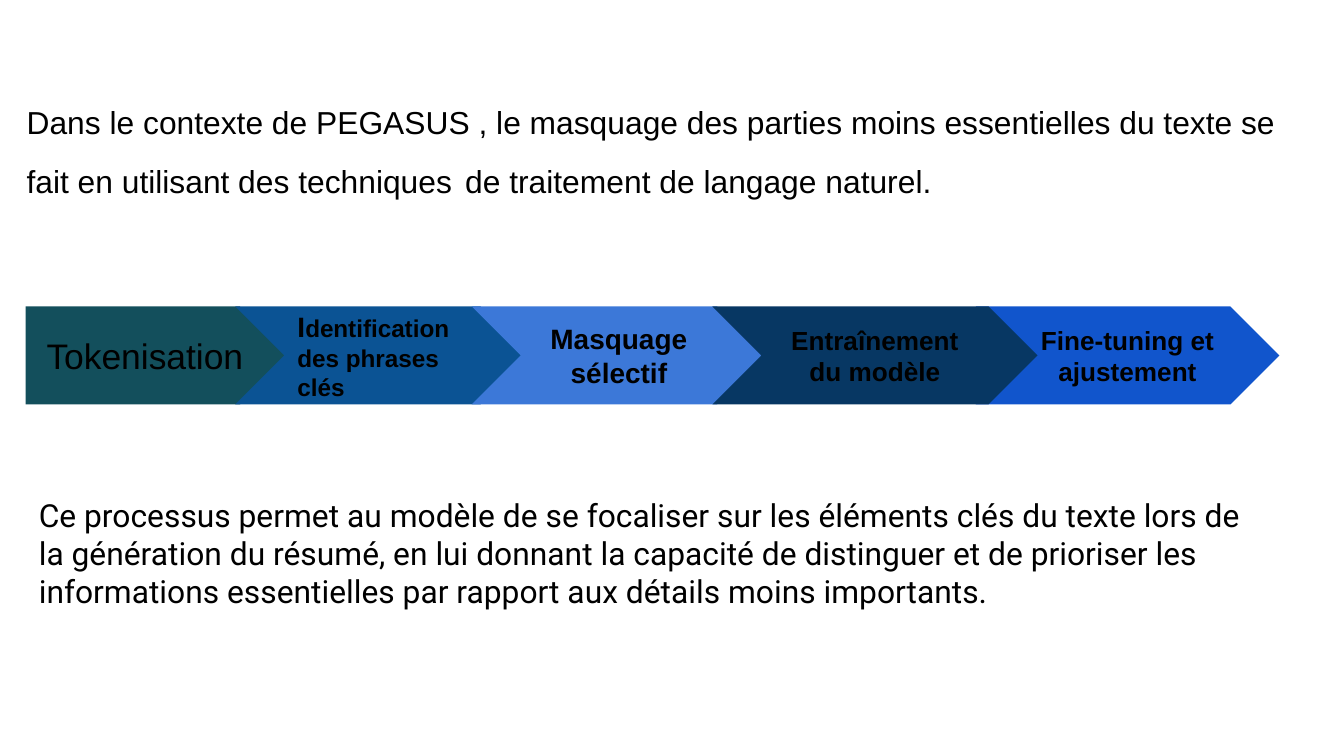
from pptx import Presentation
from pptx.dml.color import RGBColor
from pptx.enum.shapes import MSO_SHAPE
from pptx.enum.text import MSO_ANCHOR, PP_ALIGN
from pptx.util import Pt

PX = 4572
WIDE, HIGH = 2000, 1125
TOP, TALL = 456, 146
PAD = 20
MID, LEFT = PP_ALIGN.CENTER, PP_ALIGN.LEFT

INTRO = [
    ("Dans le contexte de PEGASUS , le masquage des parties moins essentielles "
     "du texte se fait en utilisant des techniques", 17),
    (" ", 24),
    ("de traitement de langage naturel.", 17),
]
CLOSE = [
    ("Ce processus permet au modèle de se focaliser sur les éléments clés du "
     "texte lors de la génération du résumé, en lui donnant la capacité de "
     "distinguer et de prioriser les informations essentielles par rapport aux "
     "détails moins importants.", 17),
]
STEPS = [
    (38, 392, "134F5C", MID, False, [("Tokenisation", 19)]),
    (350, 438, "0B5394", LEFT, True,
     [("I", 15), ("dentification des phrases clés", 13)]),
    (702, 438, "3C78D8", MID, True, [("Masquage sélectif", 15)]),
    (1452, 452, "1155CC", MID, True, [("Fine-tuning et ajustement", 14)]),
    (1060, 484, "073763", MID, True, [("Entraînement du modèle", 14)]),
]


def tint(code):
    return RGBColor.from_string(code)


def place(*box):
    return [n * PX for n in box]


def write(shape, runs, face="Arial", bold=False, align=LEFT,
          anchor=MSO_ANCHOR.TOP):
    frame = shape.text_frame
    frame.word_wrap = True
    frame.vertical_anchor = anchor
    frame.margin_left = frame.margin_right = PAD * PX
    frame.margin_top = frame.margin_bottom = PAD * PX
    para = frame.paragraphs[0]
    para.alignment = align
    for text, size in runs:
        run = para.add_run()
        run.text = text
        run.font.name = face
        run.font.size = Pt(size)
        run.font.bold = bold
        run.font.color.rgb = tint("000000")
    return para


deck = Presentation()
deck.slide_width, deck.slide_height = place(WIDE, HIGH)
slide = deck.slides.add_slide(deck.slide_layouts[6])
shapes = slide.shapes

intro = write(shapes.add_textbox(*place(20, 124, 1912, 840)), INTRO)
intro.line_spacing = 1.15
intro.space_after = Pt(12)

for spot, (left, width, fill, align, bold, runs) in enumerate(STEPS):
    kind = MSO_SHAPE.CHEVRON if spot else MSO_SHAPE.PENTAGON
    step = shapes.add_shape(kind, *place(left, TOP, width, TALL))
    step.adjustments[0] = 0.5
    step.shadow.inherit = False
    step.fill.solid()
    step.fill.fore_color.rgb = tint(fill)
    step.line.fill.background()
    write(step, runs, bold=bold, align=align, anchor=MSO_ANCHOR.MIDDLE)

write(shapes.add_textbox(*place(38, 718, 1836, 258)), CLOSE, face="Roboto")

deck.save("out.pptx")
